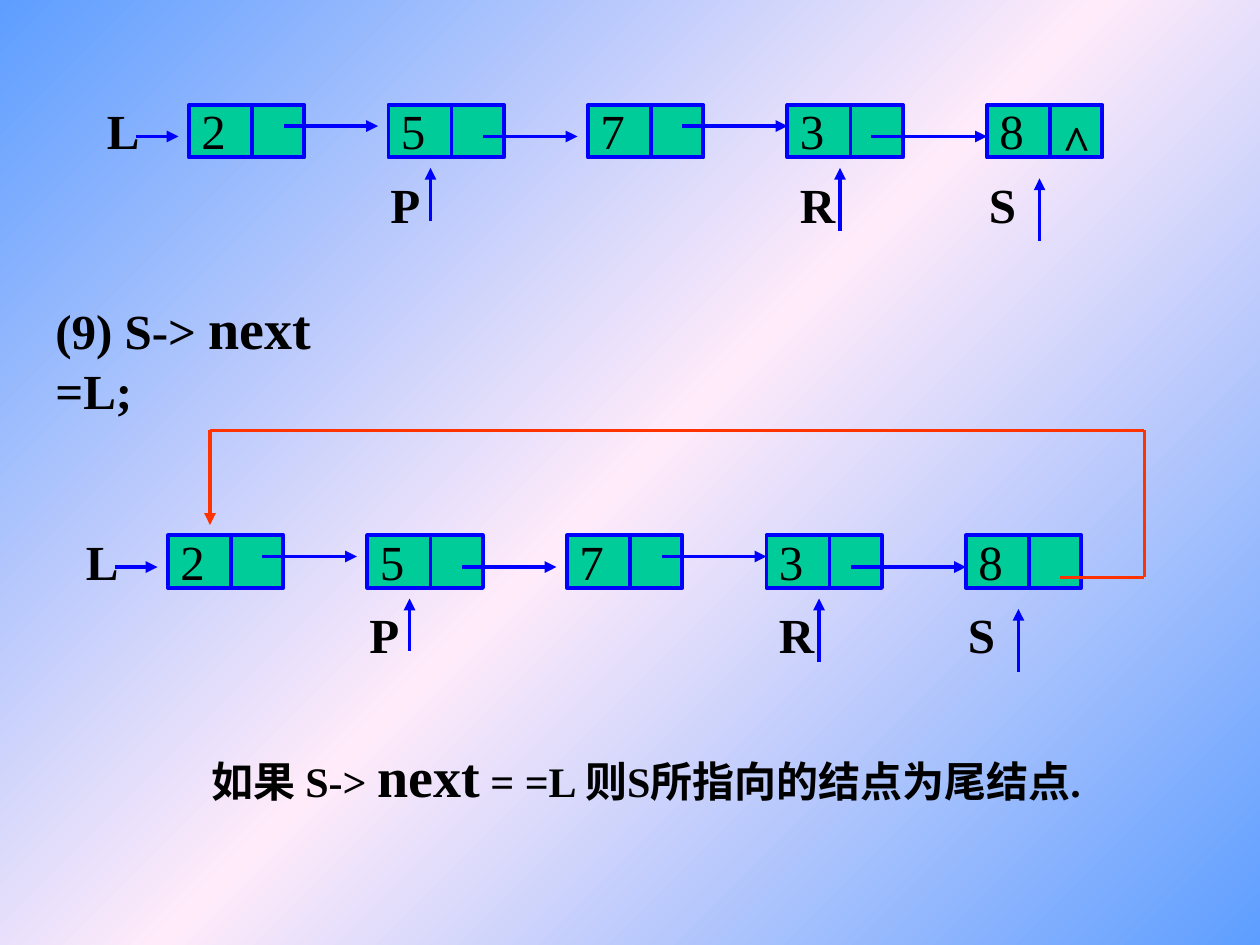
"""Build a slide on closing a linked list into a ring."""
import copy

from pptx import Presentation
from pptx.dml.color import RGBColor
from pptx.enum import shapes, text
from pptx.oxml.ns import qn
from pptx.util import Pt

BLUE = RGBColor(0x00, 0x00, 0xFF)
GREEN = RGBColor(0x00, 0xCC, 0x99)
RED = RGBColor(0xFF, 0x33, 0x00)
BLACK = RGBColor(0x00, 0x00, 0x00)
SKY = RGBColor(0x5E, 0x9E, 0xFF)
PINK = RGBColor(0xFF, 0xEB, 0xFA)
FONT = "Times New Roman"

VALUES = "25738"
NODE_LEFT, NODE_TOP, NODE_PITCH = 54, 6, 114
NODE_W, NODE_H, DATA_W = 66, 30, 36
LABEL_H = 41
LINKS = [(54, 108, 18), (54, 108, 24), (54, 114, 18), (48, 114, 24)]
POINTERS = [("P", 162, 84, 192, 72, 42),
            ("R", 396, 60, 426, 78, 42),
            ("S", 504, 54, 540, 84, 48)]


def write_runs(sp, runs, bold=True, wrap=True):
    """Fill a shape with one left-aligned paragraph of (text, size) runs."""
    tf = sp.text_frame
    tf.word_wrap = wrap
    tf.auto_size = text.MSO_AUTO_SIZE.SHAPE_TO_FIT_TEXT
    tf.vertical_anchor = text.MSO_ANCHOR.TOP
    p = tf.paragraphs[0]
    p.alignment = text.PP_ALIGN.LEFT
    p.line_spacing = 1.0
    p.space_before = Pt(0)
    for words, size in runs:
        r = p.add_run()
        r.text = words
        r.font.name = FONT
        r.font.size = Pt(size)
        r.font.bold = bold
        r.font.color.rgb = BLACK


def add_label(parent, words, x, y, w, bold=True):
    """Add a one-word label at 28 points."""
    sp = parent.add_textbox(Pt(x), Pt(y), Pt(w), Pt(LABEL_H))
    write_runs(sp, [(words, 28)], bold)


def add_line(parent, start, end, color=BLUE, arrow=False):
    """Draw a straight line, with an arrowhead at its end if asked."""
    c = parent.add_connector(shapes.MSO_CONNECTOR.STRAIGHT,
                             *(Pt(v) for v in (*start, *end)))
    c.line.color.rgb = color
    c.line.width = Pt(2.25)
    if arrow:
        ln = c.line._get_or_add_ln()
        ln.append(ln.makeelement(qn("a:tailEnd"), {"type": "triangle"}))
    sp_pr = c._element.spPr
    sp_pr.append(sp_pr.makeelement(qn("a:effectLst"), {}))


def add_node(parent, value, x, y):
    """Draw a list node with its data cell and its link cell."""
    sp = parent.add_shape(shapes.MSO_SHAPE.RECTANGLE, Pt(x), Pt(y),
                          Pt(NODE_W), Pt(NODE_H))
    sp.shadow.inherit = False
    sp.fill.solid()
    sp.fill.fore_color.rgb = GREEN
    sp.line.color.rgb = BLUE
    sp.line.width = Pt(2.25)
    add_line(parent, (x + DATA_W, y), (x + DATA_W, y + NODE_H))
    add_label(parent, value, x, y - NODE_TOP, DATA_W, bold=False)


def add_linked_list(s, x, y, ring):
    """Draw the list from its top left corner, ending in a ring or in null."""
    parent = s.shapes.add_group_shape().shapes
    add_label(parent, "L", x, y, 36)
    add_line(parent, (x + 24, y + 24), (x + 48, y + 24), arrow=True)
    lefts = [x + NODE_LEFT + i * NODE_PITCH for i in range(len(VALUES))]
    for value, left in zip(VALUES, lefts):
        add_node(parent, value, left, y + NODE_TOP)
    for left, (start, end, dy) in zip(lefts, LINKS):
        add_line(parent, (left + start, y + dy), (left + end, y + dy), arrow=True)
    for name, dx, w, tip_x, tail_y, tip_y in POINTERS:
        add_label(parent, name, x + dx, y + 42, w)
        add_line(parent, (x + tip_x, y + tail_y), (x + tip_x, y + tip_y), arrow=True)
    if ring:
        corners = [(x + dx, y + dy) for dx, dy in
                   [(564, 30), (612, 30), (612, -54), (78, -54), (78, 0)]]
        for start, end in zip(corners, corners[1:]):
            add_line(parent, start, end, RED, arrow=end == corners[-1])
    else:
        add_label(parent, "^", lefts[-1] + DATA_W, y + NODE_TOP, 30)


def add_statement(s, x, y, w, h):
    """Place the statement of this step in the title."""
    sp = s.shapes.title
    sp.left, sp.top, sp.width, sp.height = Pt(x), Pt(y), Pt(w), Pt(h)
    write_runs(sp, [("(9) S-> ", 28), ("next", 32), (" =L;", 28)], wrap=False)


def add_conclusion(s, x, y, w, h):
    """Place the test for the tail node."""
    sp = s.shapes.add_textbox(Pt(x), Pt(y), Pt(w), Pt(h))
    write_runs(sp, [("如果 S-> ", 24), ("next", 32),
                    (" = =L 则S所指向的结点为尾结点.", 24)])


def set_background(s):
    """Fill the background with a diagonal gradient from blue to pink and back."""
    fill = s.background.fill
    fill.gradient()
    fill.gradient_angle = 135
    stops = s.background._cSld.find(".//" + qn("a:gsLst"))
    stops.append(copy.deepcopy(stops[0]))
    for stop, position, color in zip(fill.gradient_stops, (0, 0.5, 1),
                                     (SKY, PINK, SKY)):
        stop.position = position
        stop.color.rgb = color


def main():
    """Build and save the slide."""
    prs = Presentation()
    prs.slide_width, prs.slide_height = Pt(720), Pt(540)
    s = prs.slides.add_slide(prs.slide_layouts[5])
    set_background(s)
    add_statement(s, 24.5, 164, 211, 46)
    add_linked_list(s, 42, 300, ring=True)
    add_conclusion(s, 114, 420, 540, 46)
    add_linked_list(s, 54, 54, ring=False)
    prs.save("out.pptx")


if __name__ == "__main__":
    main()
